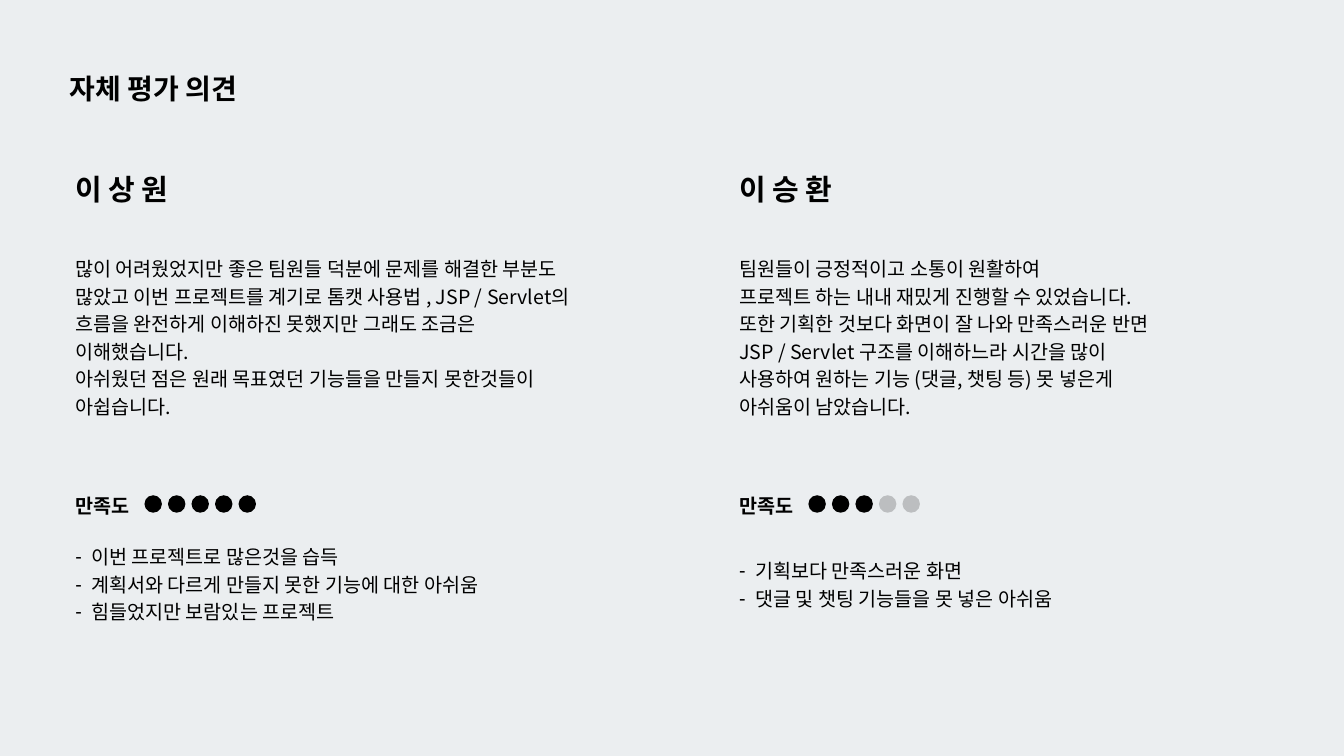
import pptx
import pptx.util
import pptx.dml.color
import pptx.enum.shapes
import pptx.enum.text
import pptx.oxml.ns
import lxml.etree

Inches = pptx.util.Inches
Pt = pptx.util.Pt
RGBColor = pptx.dml.color.RGBColor
qn = pptx.oxml.ns.qn

BLACK = RGBColor(0x00, 0x00, 0x00)
PAPER = RGBColor(0xEB, 0xEE, 0xF0)
SANS = "Noto Sans CJK SC"
LINE = 29.4
SCORE_MAX = 5

REVIEWS = [
    dict(
        box=(1.12, 7.63),
        name="이 상 원",
        opinion=[
            "많이 어려웠었지만 좋은 팀원들 덕분에 문제를 해결한 부분도 많았고 이번 프로젝트를 계기로 "
            "톰캣 사용법 , JSP / Servlet의 흐름을 완전하게 이해하진 못했지만 그래도 조금은 이해했습니다.",
            "아쉬웠던 점은 원래 목표였던 기능들을 만들지 못한것들이 아쉽습니다.",
        ],
        score=5,
        points=[
            "이번 프로젝트로 많은것을 습득",
            "계획서와 다르게 만들지 못한 기능에 대한 아쉬움",
            "힘들었지만 보람있는 프로젝트",
        ],
        points_width=6.04,
    ),
    dict(
        box=(11, 6.47),
        name="이 승 환",
        opinion=[
            "팀원들이 긍정적이고 소통이 원활하여",
            "프로젝트 하는 내내 재밌게 진행할 수 있었습니다.",
            "또한 기획한 것보다 화면이 잘 나와 만족스러운 반면",
            "JSP / Servlet 구조를 이해하느라 시간을 많이 사용하여 원하는 기능 (댓글, 챗팅 등) "
            "못 넣은게 아쉬움이 남았습니다.",
        ],
        score=3,
        points=["기획보다 만족스러운 화면", "댓글 및 챗팅 기능들을 못 넣은 아쉬움"],
        points_width=4.78,
    ),
]


def place(sp, left, top, width, height):
    sp.left, sp.top = Inches(left), Inches(top)
    sp.width, sp.height = Inches(width), Inches(height)


def add_bullet(p):
    pPr = p._p.get_or_add_pPr()
    pPr.set("marL", str(Inches(0.24)))
    pPr.set("indent", str(-Inches(0.24)))
    lxml.etree.SubElement(pPr, qn("a:buChar")).set("char", "-")


def write(sp, lines, size=21, spacing=LINE, bold=False, font=SANS, wrap=True, bullets=False):
    tf = sp.text_frame
    tf.auto_size = pptx.enum.text.MSO_AUTO_SIZE.NONE
    tf.word_wrap = wrap
    tf.vertical_anchor = pptx.enum.text.MSO_ANCHOR.TOP
    tf.margin_left = tf.margin_top = tf.margin_right = tf.margin_bottom = 0
    for i, line in enumerate(lines):
        p = tf.paragraphs[0] if i == 0 else tf.add_paragraph()
        p.alignment = pptx.enum.text.PP_ALIGN.LEFT
        p.line_spacing = Pt(spacing)
        p.space_before = Pt(0)
        if bullets:
            add_bullet(p)
        r = p.add_run()
        r.text = line
        r.font.size = Pt(size)
        r.font.bold = bold
        r.font.name = font
        r.font.color.rgb = BLACK
        ea = lxml.etree.SubElement(r.font._element, qn("a:ea"))
        ea.set("typeface", SANS)


def add_text(slide, box, lines, **style):
    sp = slide.shapes.add_textbox(0, 0, 0, 0)
    place(sp, *box)
    write(sp, lines, **style)


def add_score(slide, left, top, score):
    group = slide.shapes.add_group_shape()
    for i in range(SCORE_MAX):
        dot = group.shapes.add_shape(
            pptx.enum.shapes.MSO_SHAPE.OVAL,
            Inches(left + 0.35 * i), Inches(top), Inches(0.26), Inches(0.26))
        dot.shadow.inherit = False
        dot.line.fill.background()
        dot.fill.solid()
        dot.fill.fore_color.rgb = BLACK
        if i >= score:
            color = dot._element.spPr.find(qn("a:solidFill"))[0]
            lxml.etree.SubElement(color, qn("a:alpha")).set("val", "20000")


def add_title(slide, box):
    title = slide.shapes.title
    place(title, *box)
    write(title, ["자체 평가 의견"], size=30, spacing=42, bold=True, font="Inter", wrap=False)


def add_review(slide, body, review):
    left, width = review["box"]
    add_text(slide, (left, 2.47, 1.43, 0.58), [review["name"]],
             size=31, spacing=43.4, bold=True, wrap=False)
    add_text(slide, (left, 3.77, width, 2.42), review["opinion"])
    add_text(slide, (left, 7.29, 0.81, 0.39), ["만족도"], bold=True, wrap=False)
    add_score(slide, left + 1.03, 7.37, review["score"])
    height = len(review["points"]) * LINE / 72
    place(body, left, 8.67 - height / 2, review["points_width"], height)
    write(body, review["points"], bullets=True)


def main():
    prs = pptx.Presentation()
    prs.slide_width, prs.slide_height = Inches(20), Inches(11.25)
    slide = prs.slides.add_slide(prs.slide_layouts[3])
    slide.background.fill.solid()
    slide.background.fill.fore_color.rgb = PAPER
    add_title(slide, (1.04, 0.98, 2.49, 0.56))
    for idx, review in enumerate(REVIEWS, 1):
        add_review(slide, slide.placeholders[idx], review)
    prs.save("out.pptx")


if __name__ == "__main__":
    main()
